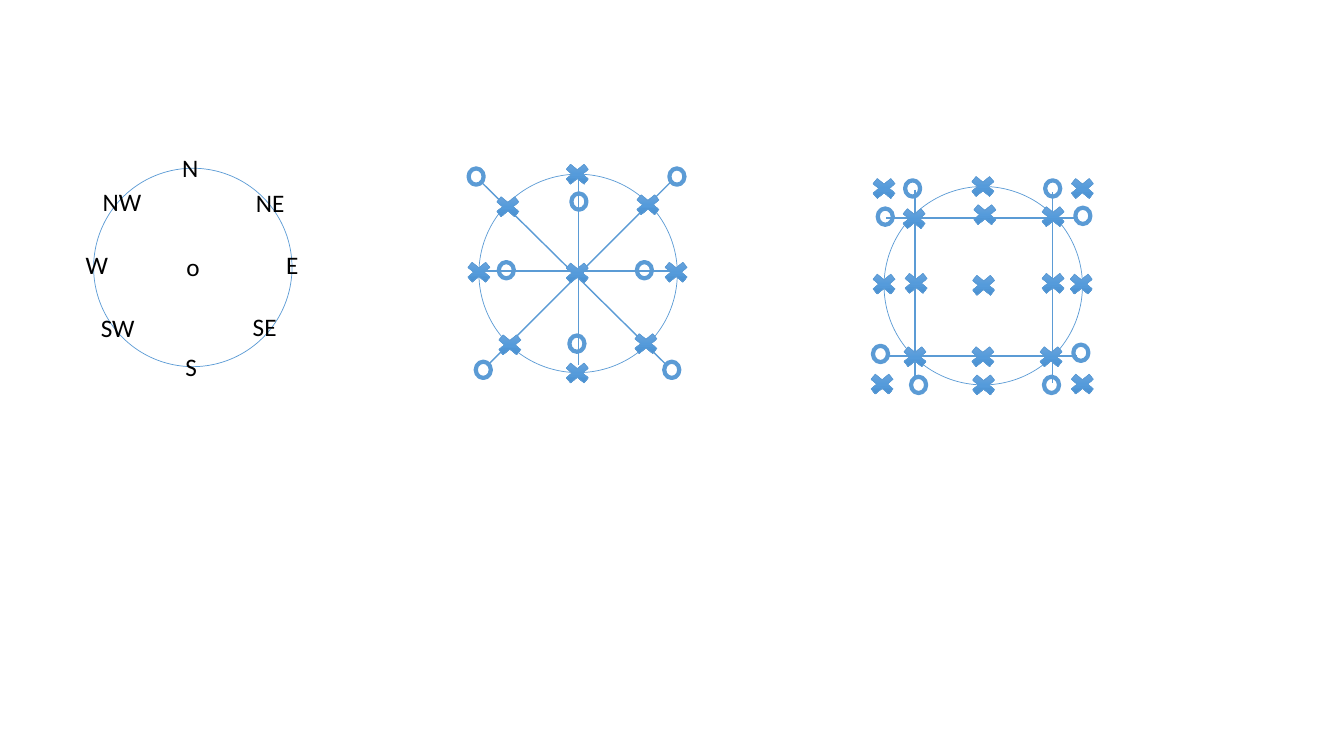
from copy import deepcopy
from pptx import Presentation
from pptx.dml.color import RGBColor
from pptx.enum.shapes import MSO_CONNECTOR, MSO_SHAPE
from pptx.enum.text import MSO_AUTO_SIZE
from pptx.oxml.ns import qn
from pptx.util import Cm, Pt
from lxml.etree import SubElement

COLORS = {"blue": "5B9BD5", "text": "000000",
          "top": "71A6DB", "middle": "559BDB", "bottom": "448ACA"}
CIRCLE_SIZE = (5, 5)
CROSS_SIZE = (0.86, 0.71)
RING_SIZE = (0.38, 0.41)

presentation = Presentation()
presentation.slide_width, presentation.slide_height = Cm(33.87), Cm(19.05)
slide = presentation.slides.add_slide(presentation.slide_layouts[6])


def color(name):
    return RGBColor.from_string(COLORS[name])


def add_mark(kind, center, size, line_width):
    """Add an unfilled blue outline centred on a point."""
    (x, y), (width, height) = center, size
    shape = slide.shapes.add_shape(kind, Cm(x - width / 2), Cm(y - height / 2),
                                   Cm(width), Cm(height))
    shape.shadow.inherit = False
    shape.fill.background()
    shape.line.color.rgb = color("blue")
    shape.line.width = Pt(line_width)
    return shape


# Compass: circle with direction labels (text, left, top, width)
add_mark(MSO_SHAPE.OVAL, (4.86, 6.74), CIRCLE_SIZE, 0.5)
labels = [
    ("S", 4.42, 8.74, 0.86), ("N", 4.34, 3.71, 0.86),
    ("W", 1.91, 6.17, 0.86), ("E", 6.96, 6.17, 0.86),
    ("SE", 6.12, 7.72, 1.3), ("NE", 6.2, 4.6, 1.3),
    ("NW", 2.34, 4.57, 1.73), ("SW", 2.29, 7.75, 1.47),
    ("o", 4.45, 6.2, 0.86),
]
for text, left, top, width in labels:
    box = slide.shapes.add_textbox(Cm(left), Cm(top), Cm(width), Cm(1.02))
    frame = box.text_frame
    frame.text = text
    frame.word_wrap = True
    frame.auto_size = MSO_AUTO_SIZE.SHAPE_TO_FIT_TEXT
    font = frame.paragraphs[0].runs[0].font
    font.name, font.size = "Calibri", Pt(18)
    font.color.rgb = color("text")

# Star and square diagrams: lines by end points, marks by centres
star = {
    "center": (14.57, 6.89),
    "lines": [(14.58, 4.39, 14.58, 9.19), (12.17, 6.83, 16.97, 6.83),
              (12.14, 4.6, 16.79, 9.19), (16.92, 4.57, 12.32, 9.17)],
    "crosses": [(14.55, 4.39), (17.04, 6.86), (12.07, 6.86), (14.55, 9.4),
                (12.8, 5.21), (12.85, 8.69), (16.33, 5.16), (16.28, 8.66),
                (14.55, 6.88)],
    "rings": [(17.06, 4.45), (16.93, 9.32), (12.18, 9.32), (12, 4.45),
              (14.59, 5.08), (14.54, 8.66), (12.76, 6.81), (16.24, 6.81)],
}
square = {
    "center": (24.78, 7.2),
    "lines": [(23.06, 4.78, 23.06, 9.58), (22.35, 8.97, 27.15, 8.97),
              (26.52, 4.85, 26.52, 9.65), (22.33, 5.49, 27.13, 5.49)],
    "crosses": [(24.77, 4.7), (27.25, 7.16), (22.28, 7.16), (24.79, 9.7),
                (23.04, 5.51), (23.06, 8.99), (26.54, 5.46), (26.49, 8.99),
                (24.79, 7.19), (24.77, 8.99), (26.54, 7.14), (23.09, 7.14),
                (24.82, 5.41), (27.28, 4.75), (27.28, 9.68), (22.23, 9.68),
                (22.28, 4.75)],
    "rings": [(26.5, 9.7), (27.24, 8.89), (27.29, 5.44), (26.53, 4.75),
              (23, 4.75), (23.15, 9.7), (22.19, 8.92), (22.31, 5.46)],
}
for diagram in (star, square):
    for ends in diagram["lines"]:
        line = slide.shapes.add_connector(MSO_CONNECTOR.STRAIGHT,
                                          *[Cm(value) for value in ends])
        line.line.color.rgb = color("blue")
        line.line.width = Pt(1)
        SubElement(line._element.spPr, qn("a:effectLst"))

    add_mark(MSO_SHAPE.OVAL, diagram["center"], CIRCLE_SIZE, 0.5)

    for center in diagram["crosses"]:
        cross = add_mark(MSO_SHAPE.MATH_MULTIPLY, center, CROSS_SIZE, 0.5)
        cross.fill.gradient()
        cross.fill.gradient_angle = 270
        # The default gradient has two stops; add the middle one
        first_stop = cross._element.spPr.find(".//" + qn("a:gs"))
        first_stop.addnext(deepcopy(first_stop))
        stops = zip(cross.fill.gradient_stops, ("top", "middle", "bottom"), (0, 0.5, 1))
        for stop, name, position in stops:
            stop.color.rgb = color(name)
            stop.position = position

    for center in diagram["rings"]:
        add_mark(MSO_SHAPE.OVAL, center, RING_SIZE, 3)

presentation.save("out.pptx")
